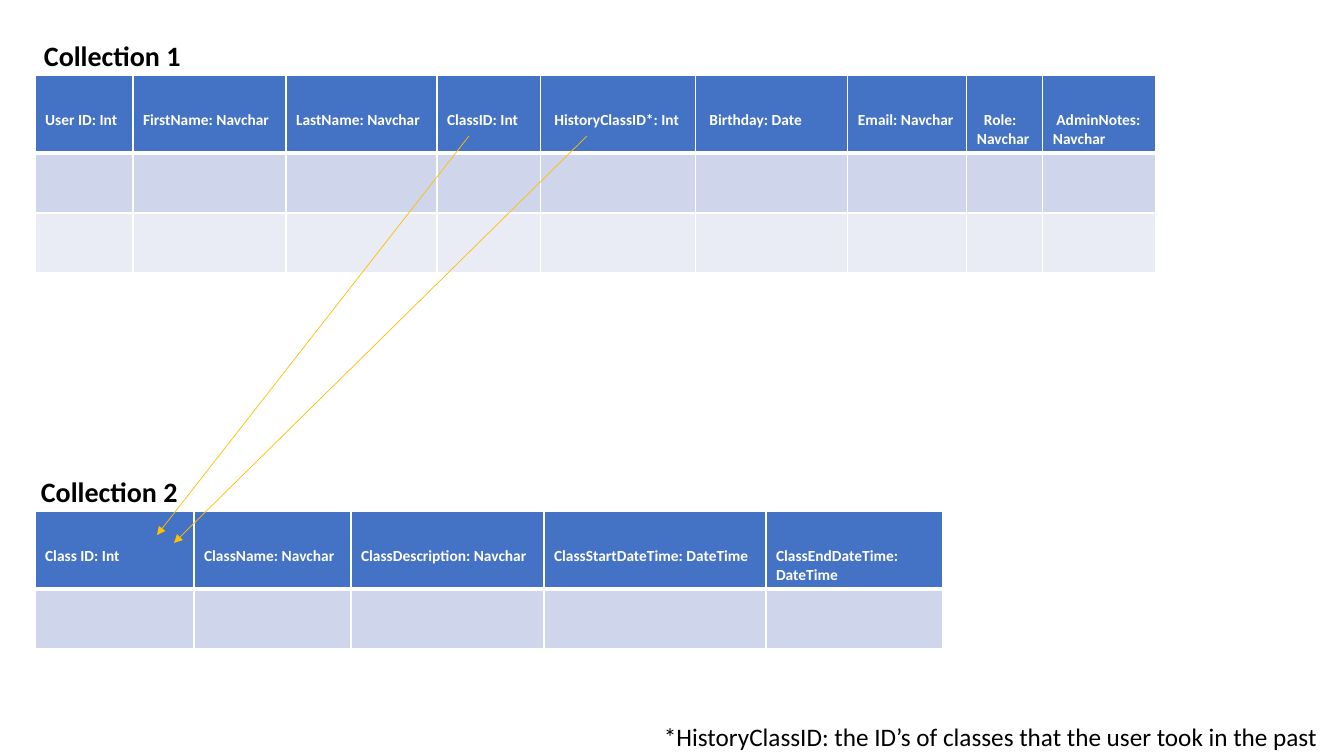
from lxml.etree import SubElement
from pptx import Presentation
from pptx.dml.color import RGBColor
from pptx.enum.shapes import MSO_CONNECTOR
from pptx.oxml.ns import qn
from pptx.util import Emu, Pt

SCALE = 914400 / 100.8
WHITE = RGBColor(0xFF, 0xFF, 0xFF)
BLACK = RGBColor(0, 0, 0)
BLUE = RGBColor(0x44, 0x72, 0xC4)
DARK = RGBColor(0xCF, 0xD5, 0xEA)
LIGHT = RGBColor(0xE9, 0xEB, 0xF5)
GOLD = RGBColor(0xFF, 0xC0, 0)
NB = "\u00a0"


def px(n):
    """Turn pixels into EMU."""
    return Emu(round(n * SCALE))


def put(frame, text, size=18, bold=False, color=BLACK):
    """Write text into a frame, one paragraph a line."""
    frame.text = text
    for para in frame.paragraphs:
        font = para.runs[0].font
        font.name, font.size, font.bold = "Calibri", Pt(size), bold
        font.color.rgb = color


deck = Presentation()
deck.slide_width, deck.slide_height = px(1344), px(756)
slide = deck.slides.add_slide(deck.slide_layouts[6])
shapes = slide.shapes

users = [
    ("User ID: Int", 98),
    ("FirstName: Navchar", 153),
    ("LastName: Navchar", 151),
    ("ClassID: Int", 104),
    (NB + "HistoryClassID*: Int", 155),
    (NB + "Birthday: Date", 152),
    ("Email: Navchar", 119),
    (NB * 2 + "Role:\nNavchar", 76),
    (NB + "AdminNotes: Navchar", 113),
]
classes = [
    ("Class ID: Int", 159),
    ("ClassName: Navchar", 157),
    ("ClassDescription: Navchar", 193),
    ("ClassStartDateTime: DateTime", 222),
    ("ClassEndDateTime: DateTime", 177),
]

# Tables: a header row above empty banded rows
for top, fields, fills in [(75, users, [BLUE, DARK, LIGHT]),
                           (511, classes, [BLUE, DARK])]:
    wide = sum(w for _, w in fields)
    high = 78 + 60 * (len(fills) - 1)
    table = shapes.add_table(len(fills), len(fields), px(35), px(top),
                             px(wide), px(high)).table
    for r, fill in enumerate(fills):
        table.rows[r].height = px(60 if r else 78)
        for c, (name, w) in enumerate(fields):
            table.columns[c].width = px(w)
            cell = table.cell(r, c)
            if r == 0:
                cell.margin_top, cell.margin_bottom = px(36), 0
                put(cell.text_frame, name, size=11, bold=True, color=WHITE)
            props = cell._tc.get_or_add_tcPr()
            for side in "LRTB":
                thick = (r, side) in [(0, "B"), (1, "T")]
                edge = SubElement(props, qn("a:ln" + side),
                                  w=str(Pt(3 if thick else 1)))
                paint = SubElement(edge, qn("a:solidFill"))
                SubElement(paint, qn("a:srgbClr"), val=str(WHITE))
            cell.fill.solid()
            cell.fill.fore_color.rgb = fill

# Titles and footnote
note = "*HistoryClassID: the ID’s of classes that the user took in the past"
for text, x, y, w, h, size, bold in [
    ("Collection 2", 31, 470, 158, 44, 20, True),
    ("Collection 1", 34, 34, 158, 44, 20, True),
    (note, 654, 716, 682, 40, 18, False),
]:
    frame = shapes.add_textbox(px(x), px(y), px(w), px(h)).text_frame
    frame.word_wrap = False
    put(frame, text, size=size, bold=bold)

# Arrows from the class keys to the class table
for ends in [(469, 136, 157, 535), (587, 136, 174, 543)]:
    arrow = shapes.add_connector(MSO_CONNECTOR.STRAIGHT, *map(px, ends))
    arrow.line.color.rgb = GOLD
    arrow.line.width = Pt(0.5)
    SubElement(arrow.line._get_or_add_ln(), qn("a:tailEnd"), type="triangle")
    SubElement(arrow._element.spPr, qn("a:effectLst"))

deck.save("out.pptx")
